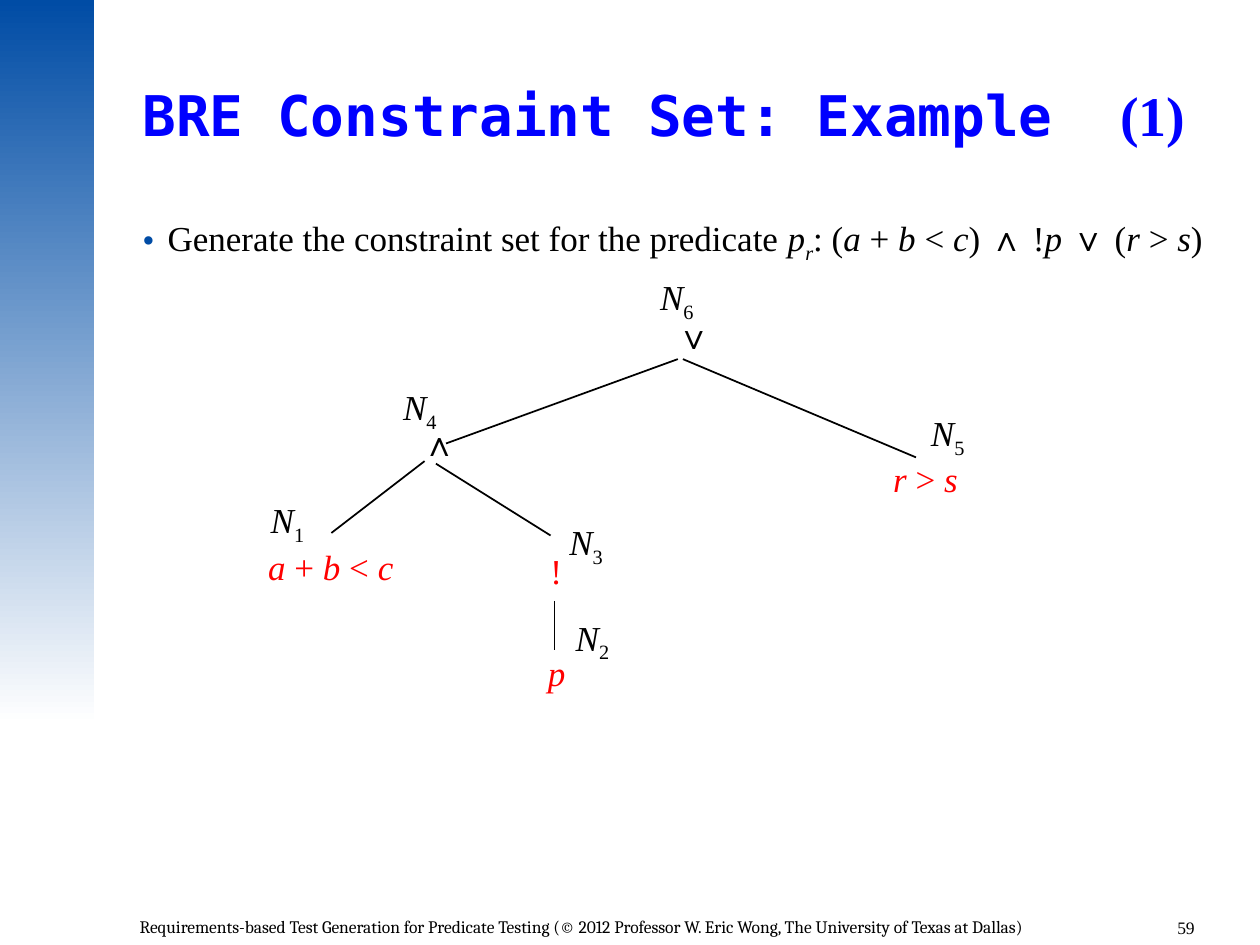
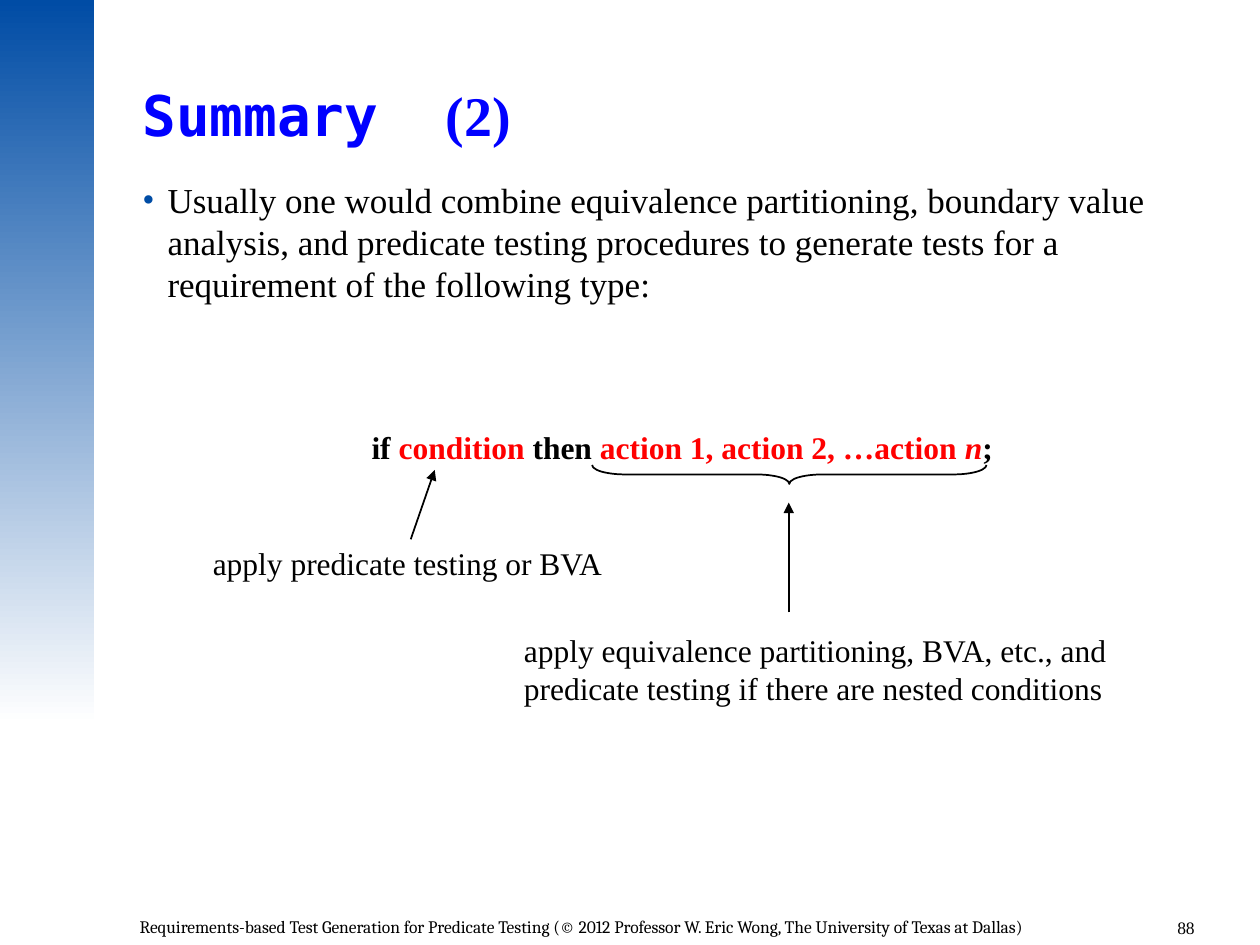
from lxml.etree import SubElement
from pptx import Presentation
from pptx.dml.color import RGBColor
from pptx.enum.shapes import MSO_CONNECTOR, MSO_SHAPE
from pptx.enum.text import PP_ALIGN
from pptx.oxml.ns import qn
from pptx.util import Pt

PX = 9144
COLORS = {
    "band": "004CA5",
    "paper": "FFFFFF",
    "title": "0000FF",
    "ink": "000000",
    "accent": "FF0000",
}
SERIF, SANS, MONO, FOOT = "Times New Roman", "Arial", "DejaVu Sans Mono", "Cambria"
TITLE_SIZE = 32
MONO_ADVANCE = 0.602
FOOTER = (
    "Requirements-based Test Generation for Predicate Testing "
    "(© 2012 Professor W. Eric Wong, The University of Texas at Dallas)"
)

PLAIN = {}
ITALIC = {"italic": True}
SUB = {"sub": True}
SYMBOL = {"font": SANS}
RED = {"color": "accent"}
RED_ITALIC = RED | ITALIC


def rgb(color):
    """Return the named colour."""
    return RGBColor.from_string(COLORS[color])


def px(*lengths):
    """Turn px lengths into EMU."""
    return [length * PX for length in lengths]


def style_run(run, size, font=SERIF, color="ink", bold=False, italic=False, sub=False):
    """Format one run."""
    run.font.name = font
    run.font.size = Pt(size)
    run.font.bold = bold
    run.font.italic = italic
    run.font.color.rgb = rgb(color)
    if sub:
        run.font._element.set("baseline", "-25000")


def add_text(slide, box, pieces, size=20, inset=(10, 5), **base):
    """Add a text box of styled pieces and return its shape."""
    label = slide.shapes.add_textbox(*px(*box))
    frame = label.text_frame
    frame.word_wrap = True
    frame.margin_left = frame.margin_right = inset[0] * PX
    frame.margin_top = frame.margin_bottom = inset[1] * PX
    if isinstance(pieces, str):
        pieces = [(pieces, PLAIN)]
    paragraph = frame.paragraphs[0]
    paragraph.text = pieces[0][0]
    for words, _ in pieces[1:]:
        paragraph.add_run().text = words
    for run, (_, look) in zip(paragraph.runs, pieces):
        style_run(run, size, **(base | look))
    return label


def add_band(slide):
    """Add the fading band at the left edge."""
    band = slide.shapes.add_shape(MSO_SHAPE.RECTANGLE, *px(0, 0, 75, 575))
    band.shadow.inherit = False
    band.line.fill.background()
    band.fill.gradient()
    band.fill.gradient_angle = 270
    for stop, position, color in zip(band.fill.gradient_stops, (0, 1), ("band", "paper")):
        stop.position = position
        stop.color.rgb = rgb(color)


def add_title(slide, topic, part):
    """Add the title, its part number two characters after the topic."""
    pieces = [(topic + "\t", {"font": MONO}), (f"({part})", PLAIN)]
    title = add_text(slide, (113, 70, 848, 59), pieces, TITLE_SIZE, (0, 0), color="title", bold=True)
    heading = title.text_frame.paragraphs[0]
    heading.line_spacing = 0.9
    stops = SubElement(heading._p.get_or_add_pPr(), qn("a:tabLst"))
    part_left = (len(topic) + 2) * Pt(TITLE_SIZE * MONO_ADVANCE)
    SubElement(stops, qn("a:tab"), pos=str(part_left), algn="l")


def add_bullet(slide, pieces, drop=0):
    """Add the bulleted statement, lowered by drop."""
    statement = add_text(slide, (113, 142, 844, 568), pieces, inset=(0, 0))
    statement.text_frame.margin_top = drop * PX
    props = statement.text_frame.paragraphs[0]._p.get_or_add_pPr()
    props.set("marL", str(20 * PX))
    props.set("indent", str(-20 * PX))
    tint = SubElement(props, qn("a:buClr"))
    SubElement(tint, qn("a:srgbClr"), val=COLORS["band"])
    SubElement(props, qn("a:buFont"), typeface=SERIF)
    SubElement(props, qn("a:buChar"), char="•")


def add_line(slide, start, end, arrow=False):
    """Add a thin line, with an arrowhead at its end if asked."""
    edge = slide.shapes.add_connector(MSO_CONNECTOR.STRAIGHT, *px(*start, *end))
    edge.line.color.rgb = rgb("ink")
    edge.line.width = Pt(1)
    if arrow:
        SubElement(edge.line._get_or_add_ln(), qn("a:tailEnd"), type="triangle", w="med", len="med")
    SubElement(edge._element.spPr, qn("a:effectLst"))


def add_brace(slide, left, top, width, height):
    """Add a brace that lies under a phrase and points down."""
    turned_left = left + (width - height) // 2
    turned_top = top + (height - width) // 2
    brace = slide.shapes.add_shape(MSO_SHAPE.LEFT_BRACE, *px(turned_left, turned_top, height, width))
    brace.rotation = 270
    brace.adjustments[0] = 1.74
    brace.shadow.inherit = False
    brace.fill.background()
    brace.line.color.rgb = rgb("ink")
    brace.line.width = Pt(1)


def start_slide(deck, topic, part, number):
    """Add a slide with band, title and footer."""
    slide = deck.slides.add_slide(deck.slide_layouts[6])
    add_band(slide)
    add_title(slide, topic, part)
    page = add_text(slide, (900, 723, 58, 30), str(number), 10)
    page.text_frame.paragraphs[0].alignment = PP_ALIGN.RIGHT
    add_text(slide, (101, 722, 832, 28), FOOTER, 10, font=FOOT)
    return slide


def build_constraint_tree(deck):
    """Build the slide with the predicate's syntax tree."""
    slide = start_slide(deck, "BRE Constraint Set: Example", 1, 59)
    add_bullet(slide, [
        ("Generate the constraint set for the predicate ", PLAIN),
        ("p", ITALIC), ("r", ITALIC | SUB), (": (", PLAIN),
        ("a ", ITALIC), ("+ ", PLAIN), ("b ", ITALIC), ("< ", PLAIN), ("c", ITALIC), (") ", PLAIN),
        ("∧", SYMBOL), (" !", PLAIN), ("p ", ITALIC), ("∨", SYMBOL), (" (", PLAIN),
        ("r ", ITALIC), ("> ", PLAIN), ("s", ITALIC), (")", PLAIN),
    ], drop=30)

    node_places = {1: (205, 391), 2: (447, 484), 3: (442, 408), 4: (310, 301), 5: (729, 322), 6: (514, 214)}
    for node, place in node_places.items():
        add_text(slide, (*place, 61, 48), [("N", ITALIC), (str(node), SUB)])

    less_than = [("a ", RED_ITALIC), ("+ ", RED), ("b ", RED_ITALIC), ("< ", RED), ("c", RED_ITALIC)]
    greater_than = [("r ", RED_ITALIC), ("> ", RED), ("s", RED_ITALIC)]
    terms = [
        (203, 428, 126, less_than),
        (425, 512, 40, [("p", RED_ITALIC)]),
        (427, 431, 29, [("!", RED)]),
        (325, 330, 36, [("∧", SYMBOL)]),
        (699, 358, 74, greater_than),
        (527, 245, 29, [("∨", SYMBOL)]),
    ]
    for left, top, width, term in terms:
        add_text(slide, (left, top, width, 44), term)

    branches = [
        ((337, 366), (263, 423)),
        ((346, 368), (437, 425)),
        ((440, 477), (440, 516)),
        ((538, 285), (354, 352)),
        ((542, 285), (727, 363)),
    ]
    for parent, child in branches:
        add_line(slide, parent, child)


def build_summary(deck):
    """Build the slide on combining the test techniques."""
    slide = start_slide(deck, "Summary", 2, 88)
    add_bullet(slide, (
        "Usually one would combine equivalence partitioning, boundary value analysis, "
        "and predicate testing procedures to generate tests for a requirement of the following type:"
    ))
    requirement = add_text(slide, (285, 326, 519, 49), [
        ("if ", PLAIN), ("condition", RED), (" then ", PLAIN),
        ("action 1, action 2, …action ", RED), ("n", RED_ITALIC), (";", PLAIN),
    ], 18, bold=True)
    requirement.text_frame.paragraphs[0].line_spacing = 1.3
    add_text(slide, (159, 427, 378, 40), "apply predicate testing or BVA", 18)
    add_text(slide, (406, 496, 520, 70), (
        "apply equivalence partitioning, BVA, etc., and "
        "predicate testing if there are nested conditions"
    ), 18)
    add_brace(slide, 470, 369, 313, 15)
    add_line(slide, (326, 428), (345, 373), arrow=True)
    add_line(slide, (626, 486), (626, 399), arrow=True)


def main():
    """Build and save the deck."""
    deck = Presentation()
    deck.slide_width, deck.slide_height = px(1000, 750)
    build_constraint_tree(deck)
    build_summary(deck)
    deck.save("out.pptx")


if __name__ == "__main__":
    main()
